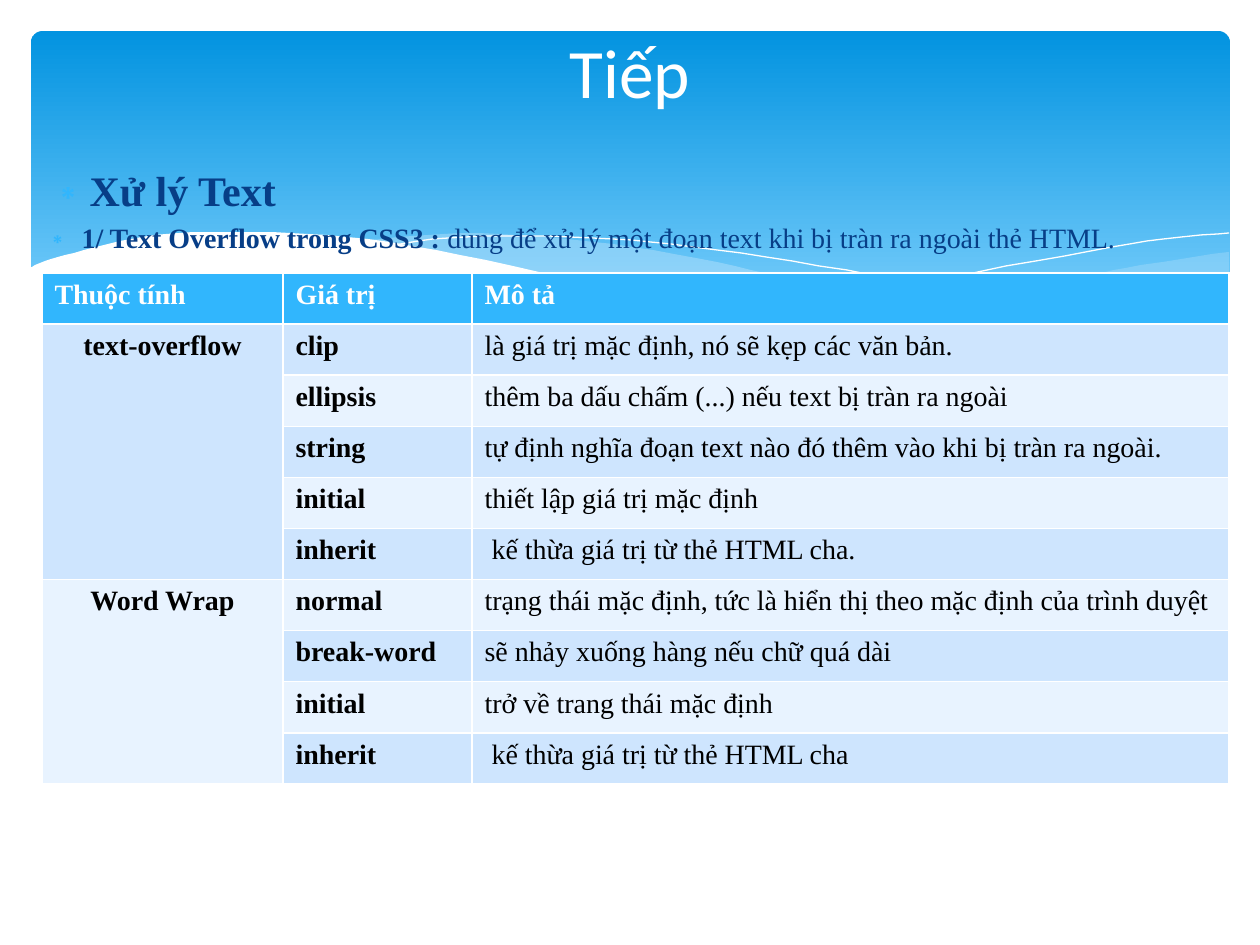
from dataclasses import dataclass

from lxml.etree import SubElement
from pptx import Presentation
from pptx.dml.color import RGBColor
from pptx.enum.shapes import MSO_SHAPE
from pptx.enum.text import MSO_ANCHOR, MSO_AUTO_SIZE, PP_ALIGN
from pptx.oxml.ns import qn
from pptx.util import Emu, Pt


@dataclass(frozen=True)
class Theme:
    white: str = "FFFFFF"
    black: str = "000000"
    navy: str = "073E87"
    accent: str = "31B6FD"
    sky_top: str = "0293E0"
    sky_bottom: str = "83D3FE"
    mist: str = "C6E7FC"
    bands: tuple = ("E8F3FF", "CEE5FE")
    title_font: str = "Calibri"
    text_font: str = "Times New Roman"
    title_size: float = 39.6
    heading_size: int = 24
    text_size: int = 16


THEME = Theme()
SCALE = 914400 / 126  # EMU in one pixel

# Each wave is a list of smooth curves, joined by straight lines
RIGHT_SWELL = [
    [(1229, 252), (1141, 265), (1085, 277), (981, 298), (889, 317), (833, 334)],
    [(833, 334), (888, 341), (969, 349), (1038, 350), (1099, 346), (1160, 334), (1229, 311)],
]
MIDDLE_SWELL = [
    [(1125, 344), (1055, 334), (937, 312), (793, 280), (717, 262), (632, 247),
     (557, 238), (479, 233), (413, 236), (360, 241)],
    [(360, 241), (456, 256), (566, 280), (713, 312), (819, 333), (910, 346),
     (1003, 350), (1080, 348), (1125, 344)],
]
LEFT_CREST = [[(389, 246), (433, 239), (505, 236), (592, 238), (671, 244),
               (766, 257), (876, 276), (1002, 304), (1143, 343)]]
RIGHT_CREST = [[(772, 324), (876, 296), (978, 272), (1091, 251), (1164, 239), (1229, 233)]]
FOREGROUND = [
    [(1231, 310), (1172, 330), (1101, 344), (1037, 349), (961, 347), (867, 338),
     (760, 320), (634, 294), (563, 277), (460, 255), (368, 239), (290, 233),
     (223, 232), (166, 234), (120, 241), (74, 253), (45, 261), (29, 268)],
    [(29, 415), (1231, 415)],
]

HEADERS = ("Thuộc tính", "Giá trị", "Mô tả")
PROPERTIES = {
    "text-overflow": [
        ("clip", "là giá trị mặc định, nó sẽ kẹp các văn bản."),
        ("ellipsis", "thêm ba dấu chấm (...) nếu text bị tràn ra ngoài"),
        ("string", "tự định nghĩa đoạn text nào đó thêm vào khi bị tràn ra ngoài."),
        ("initial", "thiết lập giá trị mặc định"),
        ("inherit", "\u00a0kế thừa giá trị từ thẻ HTML cha."),
    ],
    "Word Wrap": [
        ("normal", "trạng thái mặc định, tức là hiển thị theo mặc định của trình duyệt"),
        ("break-word", "sẽ nhảy xuống hàng nếu chữ quá dài"),
        ("initial", "trở về trang thái mặc định"),
        ("inherit", "\u00a0kế thừa giá trị từ thẻ HTML cha"),
    ],
}


def px(value):
    return Emu(round(value * SCALE))


def color(code):
    return RGBColor.from_string(code)


def place(shape, box):
    shape.left, shape.top, shape.width, shape.height = map(px, box)


def style(font, name, size, code, bold=None):
    font.name, font.size, font.bold = name, Pt(size), bold
    font.color.rgb = color(code)


def smooth(curve, steps=4):
    """Catmull-Rom points through a curve."""
    ends = [curve[0], *curve, curve[-1]]
    points = [curve[0]]
    for a, b, c, d in zip(ends, ends[1:], ends[2:], ends[3:]):
        for step in range(1, steps + 1):
            t = step / steps
            points.append(tuple(
                (2 * q + (r - p) * t + (2 * p - 5 * q + 4 * r - s) * t**2
                 + (3 * q - p - 3 * r + s) * t**3) / 2
                for p, q, r, s in zip(a, b, c, d)))
    return points


def add_wave(page, curves, fill=None, opacity=100):
    points = [point for curve in curves
              for point in (smooth(curve) if len(curve) > 2 else curve)]
    builder = page.shapes.build_freeform(*points[0], scale=SCALE)
    builder.add_line_segments(points[1:], close=fill is not None)
    wave = builder.convert_to_shape()
    wave.shadow.inherit = False
    if fill is None:
        wave.fill.background()
        wave.line.color.rgb = color(THEME.white)
        wave.line.width = Pt(0)
        return
    wave.fill.solid()
    wave.fill.fore_color.rgb = color(fill)
    wave.line.fill.background()
    if opacity < 100:
        tint = wave.fill._xPr.find(".//" + qn("a:srgbClr"))
        SubElement(tint, qn("a:alpha"), val=str(opacity * 1000))


def add_backdrop(page, box):
    # Sky panel
    sky = page.shapes.add_shape(MSO_SHAPE.ROUNDED_RECTANGLE, *map(px, box))
    sky.adjustments[0] = 0.034
    sky.shadow.inherit = False
    sky.line.fill.background()
    sky.fill.gradient()
    sky.fill.gradient_angle = 270
    stops = ((0, THEME.sky_top), (0.9, THEME.sky_bottom))
    for stop, (position, code) in zip(sky.fill.gradient_stops, stops):
        stop.position = position
        stop.color.rgb = color(code)
    # Waves, back to front
    add_wave(page, RIGHT_SWELL, THEME.mist, 29)
    add_wave(page, MIDDLE_SWELL, THEME.mist, 40)
    add_wave(page, LEFT_CREST)
    add_wave(page, RIGHT_CREST)
    add_wave(page, FOREGROUND, THEME.white)


def prepare_placeholder(page, holder, box, anchor):
    page.shapes._spTree.append(holder._element)  # in front of the backdrop
    place(holder, box)
    frame = holder.text_frame
    frame.auto_size = MSO_AUTO_SIZE.NONE
    frame.word_wrap = True
    frame.vertical_anchor = anchor
    return frame


def fill_title(page, box):
    frame = prepare_placeholder(page, page.shapes.title, box, MSO_ANCHOR.MIDDLE)
    frame.text = "Tiếp"
    para = frame.paragraphs[0]
    para.alignment = PP_ALIGN.CENTER
    style(para.font, THEME.title_font, THEME.title_size, THEME.white)


def fill_body(page, box):
    frame = prepare_placeholder(page, page.placeholders[1], box, MSO_ANCHOR.TOP)
    items = [
        (THEME.heading_size, 42, [("Xử lý Text", True)]),
        (THEME.text_size, 38, [
            ("1/ Text Overflow trong CSS3 : ", True),
            ("dùng để xử lý một đoạn text khi bị tràn ra ngoài thẻ HTML.", False)]),
    ]
    for index, (size, indent, spans) in enumerate(items):
        para = frame.add_paragraph() if index else frame.paragraphs[0]
        # Bullet
        props = para._p.get_or_add_pPr()
        props.set("marL", str(px(indent)))
        props.set("indent", str(-px(38)))
        tint = SubElement(props, qn("a:buClr"))
        SubElement(tint, qn("a:srgbClr"), val=THEME.accent)
        SubElement(props, qn("a:buChar"), char="∗")
        style(para.font, THEME.text_font, size, THEME.navy)
        for text, bold in spans:
            span = para.add_run()
            span.text, span.font.bold = text, bold


def fill_cell(cell, text, fill, code=THEME.black, bold=True, centered=False):
    cell.fill.solid()
    cell.fill.fore_color.rgb = color(fill)
    cell.text = text
    para = cell.text_frame.paragraphs[0]
    para.alignment = PP_ALIGN.CENTER if centered else PP_ALIGN.LEFT
    style(para.font, THEME.text_font, THEME.text_size, code, bold)


def add_property_table(page, box, widths):
    row_count = 1 + sum(map(len, PROPERTIES.values()))
    table = page.shapes.add_table(row_count, len(widths), *map(px, box)).table
    for column, width in zip(table.columns, widths):
        column.width = px(width)
    for index, header in enumerate(HEADERS):
        fill_cell(table.cell(0, index), header, THEME.accent, THEME.white)
    row = 1
    for name, values in PROPERTIES.items():
        first = table.cell(row, 0)
        first.merge(table.cell(row + len(values) - 1, 0))
        fill_cell(first, name, THEME.bands[row % 2], centered=True)
        for value, meaning in values:
            band = THEME.bands[row % 2]
            fill_cell(table.cell(row, 1), value, band)
            fill_cell(table.cell(row, 2), meaning, band, bold=False)
            row += 1


deck = Presentation()
deck.slide_width, deck.slide_height = px(1260), px(945)
page = deck.slides.add_slide(deck.slide_layouts[1])
add_backdrop(page, (31, 31, 1199, 340))
fill_body(page, (31, 158, 1197, 687))
fill_title(page, (63, 47, 1134, 48))
add_property_table(page, (42, 273, 1187, 511), (241, 189, 757))
deck.save("out.pptx")
